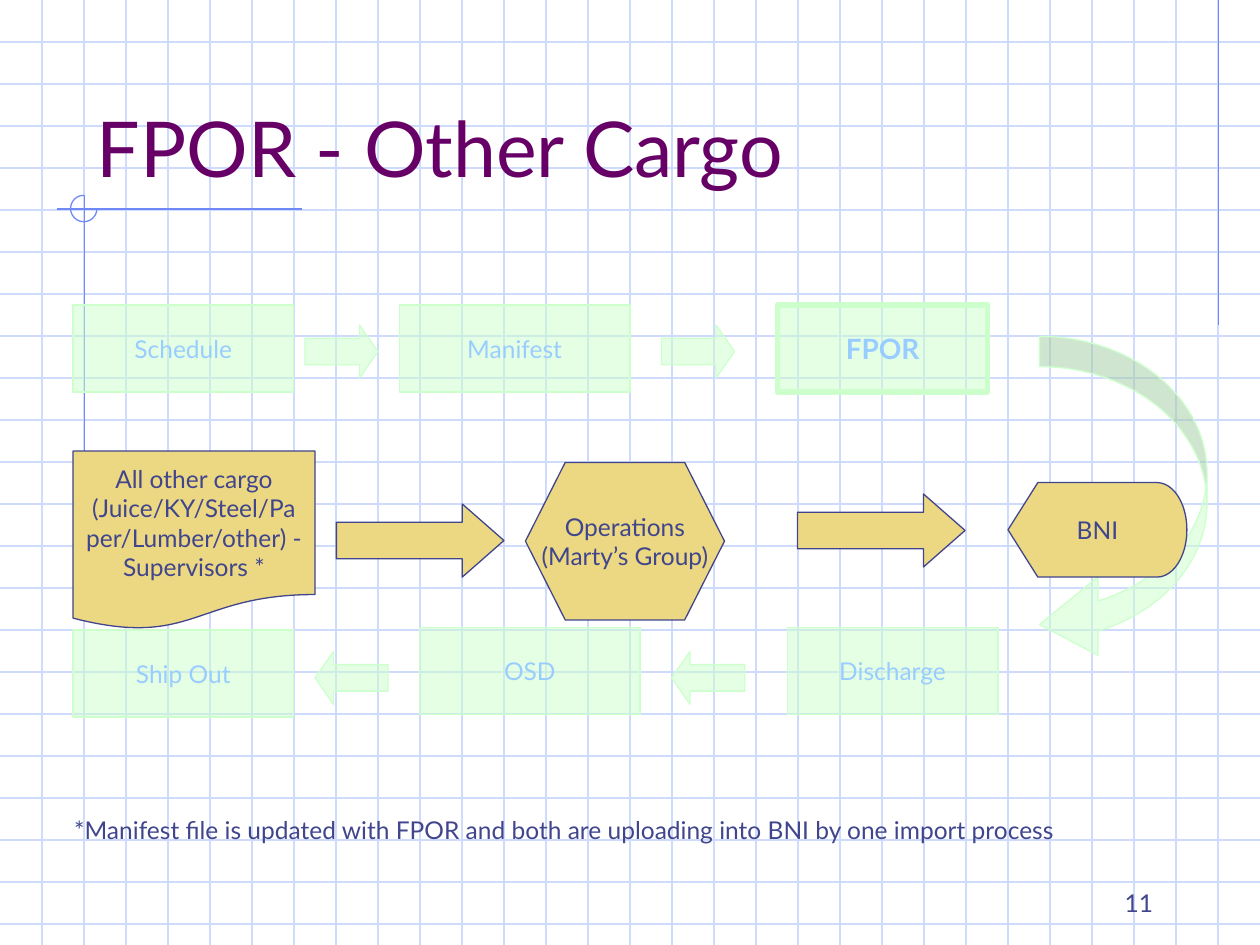
from dataclasses import dataclass

from lxml import etree
from pptx import Presentation
from pptx.dml.color import RGBColor
from pptx.enum.shapes import MSO_CONNECTOR, MSO_SHAPE
from pptx.enum.text import MSO_ANCHOR, PP_ALIGN
from pptx.oxml.ns import qn
from pptx.util import Inches, Pt

STRAIGHT = MSO_CONNECTOR.STRAIGHT
BOX = MSO_SHAPE.FLOWCHART_PROCESS
HEX = MSO_SHAPE.FLOWCHART_PREPARATION
SCREEN = MSO_SHAPE.FLOWCHART_DISPLAY
PAPER = MSO_SHAPE.FLOWCHART_DOCUMENT
RIGHT = MSO_SHAPE.RIGHT_ARROW
LEFT = MSO_SHAPE.LEFT_ARROW
CURVED = MSO_SHAPE.CURVED_LEFT_ARROW
ARC = MSO_SHAPE.ARC
TOP, MIDDLE, BOTTOM = MSO_ANCHOR.TOP, MSO_ANCHOR.MIDDLE, MSO_ANCHOR.BOTTOM
START, CENTER, END = PP_ALIGN.LEFT, PP_ALIGN.CENTER, PP_ALIGN.RIGHT


@dataclass(frozen=True)
class Theme:
    """Colours, font and type sizes of the slide."""
    font: str = "Lato"
    grid: str = "CFDBFD"
    rule: str = "6F89F7"
    title: str = "660066"
    ink: str = "40458C"
    gold: str = "ECD882"
    mint: str = "CCFFCC"
    pale: str = "99CCFF"
    large: int = 44
    strong: int = 16
    body: int = 14
    thin: float = 0.75
    thick: float = 3


class Deck:
    """Draws styled elements on the current slide."""

    def __init__(self, theme, width, height):
        """Open a blank slide of the given size."""
        self.theme = theme
        self.prs = Presentation()
        self.prs.slide_width = Inches(width)
        self.prs.slide_height = Inches(height)
        self.slide = self.prs.slides.add_slide(self.prs.slide_layouts[6])

    def stroke(self, line, color, width):
        """Set the colour and width of a line."""
        line.color.rgb = RGBColor.from_string(color)
        line.width = Pt(width)

    def line(self, x1, y1, x2, y2, color):
        """Draw a thin straight line."""
        ends = [Inches(v) for v in (x1, y1, x2, y2)]
        link = self.slide.shapes.add_connector(STRAIGHT, *ends)
        self.stroke(link.line, color, self.theme.thin)
        etree.SubElement(link._element.spPr, qn("a:effectLst"))

    def label(self, shape, words, color, align=CENTER, anchor=MIDDLE,
              wrap=False, size=None, bold=False):
        """Put formatted paragraphs in a shape."""
        frame = shape.text_frame
        form = {"word_wrap": wrap, "vertical_anchor": anchor,
                "margin_left": Inches(0.1), "margin_right": Inches(0.1),
                "margin_top": Inches(0.05), "margin_bottom": Inches(0.05)}
        for name, value in form.items():
            setattr(frame, name, value)
        frame.text = words
        look = {"name": self.theme.font, "bold": bold,
                "size": Pt(size or self.theme.body)}
        for para in frame.paragraphs:
            para.alignment = align
            font = para.runs[0].font
            for name, value in look.items():
                setattr(font, name, value)
            font.color.rgb = RGBColor.from_string(color)

    def text(self, at, words, color, **form):
        """Add a wrapped text box."""
        box = self.slide.shapes.add_textbox(*map(Inches, at))
        self.label(box, words, color, wrap=True, **form)

    def shape(self, kind, at, fill, edge, width=None, adj=(), alpha=None):
        """Add a preset shape, unfilled when fill is None."""
        item = self.slide.shapes.add_shape(kind, *map(Inches, at))
        item.shadow.inherit = False
        for i, value in enumerate(adj):
            item.adjustments[i] = value
        if fill:
            item.fill.solid()
            item.fill.fore_color.rgb = RGBColor.from_string(fill)
        else:
            item.fill.background()
        if alpha:
            tint = item._element.spPr.find(qn("a:solidFill"))[0]
            etree.SubElement(tint, qn("a:alpha"), val=str(alpha * 1000))
        self.stroke(item.line, edge, width or self.theme.thin)
        return item

    def faded(self, kind, at, **form):
        """Add a half transparent shape of the general flow."""
        mint = self.theme.mint
        return self.shape(kind, at, mint, mint, alpha=50, **form)

    def vivid(self, kind, at, **form):
        """Add a gold shape of the cargo flow."""
        return self.shape(kind, at, self.theme.gold, self.theme.ink, **form)


def scene(deck, theme, width, height):
    """Draw the ruled paper and its accent lines."""
    for i in range(1, 23):
        deck.line(0, i / 3, width, i / 3, theme.grid)
    for i in range(1, 30):
        deck.line(i / 3, 0, i / 3, height, theme.grid)
    for ends in ((9.67, 0, 9.67, 2.58), (0.45, 1.66, 2.4, 1.66),
                 (0.67, 1.55, 0.67, 4.09)):
        deck.line(*ends, theme.rule)
    deck.shape(ARC, (0.56, 1.55, 0.21, 0.21), None, theme.rule, adj=(0, 162))


def general(deck, theme):
    """Draw the faded general flow."""
    steps = (("Schedule", 0.58, 2.42, 1.75), ("Manifest", 3.17, 2.42, 1.83),
             ("FPOR", 6.17, 2.42, 1.67), ("Discharge", 6.25, 4.98, 1.67),
             ("OSD", 3.33, 4.98, 1.75), ("Ship Out", 0.58, 5, 1.75))
    for name, x, y, wide in steps:
        key = name == "FPOR"
        box = deck.faded(BOX, (x, y, wide, 0.69),
                         width=theme.thick if key else theme.thin)
        deck.label(box, name, theme.pale, bold=key,
                   size=theme.strong if key else theme.body)
    for kind, x, y in ((RIGHT, 2.42, 2.58), (RIGHT, 5.25, 2.58),
                       (LEFT, 5.33, 5.17), (LEFT, 2.5, 5.17)):
        deck.faded(kind, (x, y, 0.58, 0.42), adj=(0.5, 0.35))
    deck.faded(CURVED, (8.25, 2.67, 1.33, 2.6), adj=(0.18, 0.47, 0.35))


def cargo(deck, theme):
    """Draw the gold flow for other cargo."""
    steps = (
        (HEX, (4.17, 3.67, 1.58, 1.25), "Operations\n(Marty’s Group)", False),
        (SCREEN, (8, 3.83, 1.42, 0.75), "BNI", False),
        (PAPER, (0.58, 3.58, 1.92, 1.42), "All other cargo "
         "(Juice/KY/Steel/Paper/Lumber/other) - Supervisors *", True))
    for kind, at, words, wrap in steps:
        deck.label(deck.vivid(kind, at), words, theme.ink, wrap=wrap)
    for x, y in ((2.67, 4), (6.33, 3.92)):
        deck.vivid(RIGHT, (x, y, 1.33, 0.58), adj=(0.5, 0.57))


def main():
    """Build and save the slide."""
    theme = Theme()
    width, height = 10, 7.5
    deck = Deck(theme, width, height)
    scene(deck, theme, width, height)
    deck.text((0.67, 0.33, 8.5, 1.25), "FPOR - Other Cargo", theme.title,
              align=START, anchor=BOTTOM, size=theme.large)
    general(deck, theme)
    cargo(deck, theme)
    deck.text((0.49, 6.42, 8.55, 0.34), "*Manifest file is updated with FPOR "
              "and both are uploading into BNI by one import process",
              theme.ink, align=START, anchor=TOP)
    deck.text((7.17, 6.83, 2.08, 0.5), "11", theme.ink,
              align=END, anchor=BOTTOM)
    deck.prs.save("out.pptx")


if __name__ == "__main__":
    main()
